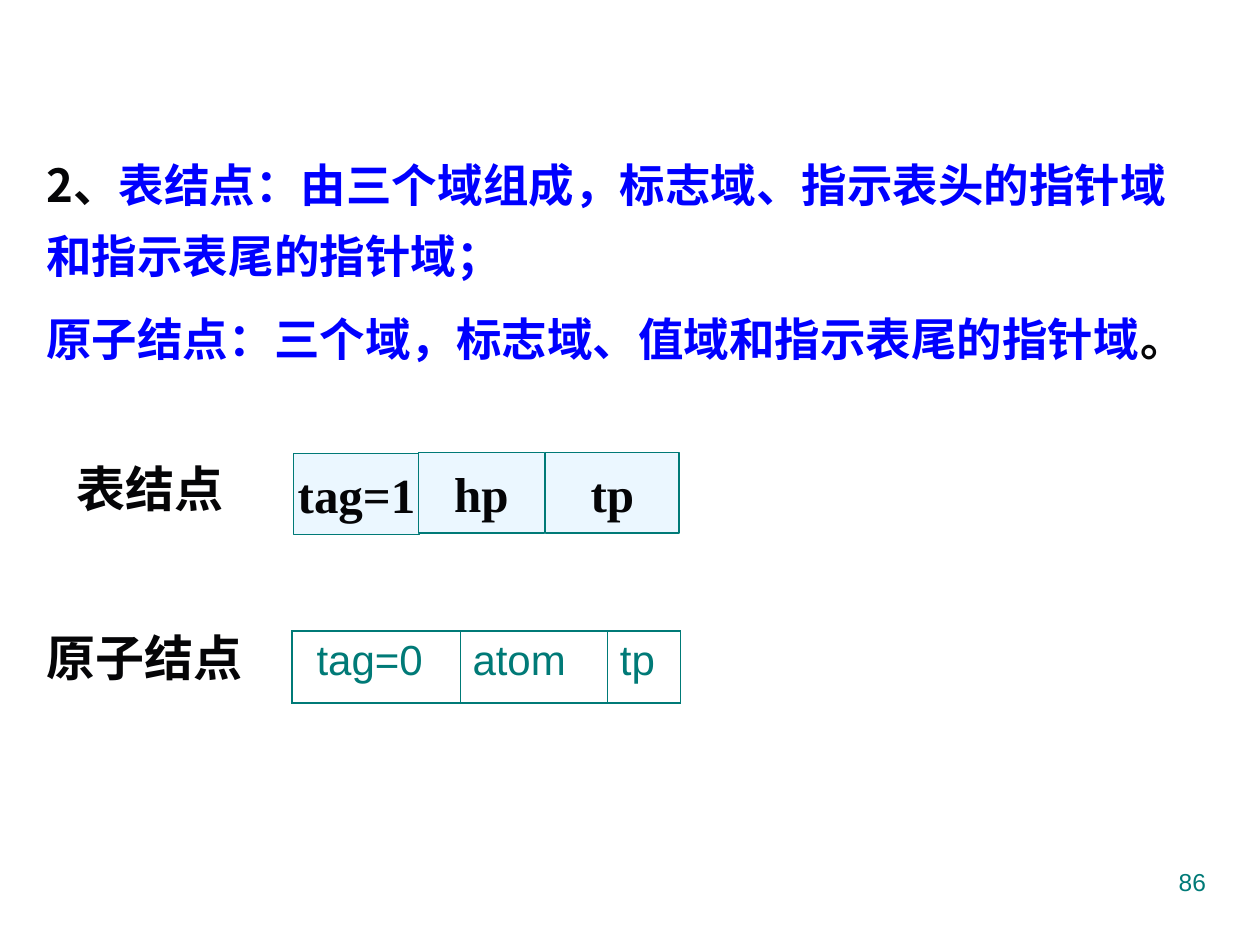
import pptx
import pptx.dml.color
import pptx.enum.shapes
import pptx.enum.text
import pptx.oxml
import pptx.oxml.ns
import pptx.util

PP = pptx.enum.text.PP_ALIGN
ANCHOR = pptx.enum.text.MSO_ANCHOR

# Grid of 100 columns by 75 rows
WIDTH, HEIGHT = pptx.util.Inches(10), pptx.util.Inches(7.5)
COLS, ROWS = 100, 75

BLACK, BLUE, TEAL, PALE = "050507", "0000FF", "007A77", "EBF7FF"
CJK, SERIF, SANS = "Noto Sans CJK SC", "Times New Roman", "Arial"


def color(value):
    return pptx.dml.color.RGBColor.from_string(value)


def grid(col, row, cols, rows):
    cw, rh = WIDTH / COLS, HEIGHT / ROWS
    return [round(v) for v in (col * cw, row * rh, cols * cw, rows * rh)]


def add_text(p, text, size=28, font=SERIF, fill=BLACK, bold=False, align=PP.LEFT):
    p.alignment = align
    r = p.add_run()
    r.text = text
    r.font.size = pptx.util.Pt(size)
    r.font.bold = bold
    r.font.color.rgb = color(fill)
    r.font.name = font
    ea = pptx.oxml.parse_xml(
        f'<a:ea {pptx.oxml.ns.nsdecls("a")} typeface="{CJK}"/>')
    r.font._element.append(ea)


def add_box(s, *place):
    tf = s.shapes.add_textbox(*grid(*place)).text_frame
    tf.word_wrap = True
    return tf


def add_field(s, text, *place):
    sp = s.shapes.add_shape(pptx.enum.shapes.MSO_SHAPE.RECTANGLE, *grid(*place))
    sp.shadow.inherit = False
    sp.fill.solid()
    sp.fill.fore_color.rgb = color(PALE)
    sp.line.color.rgb = color(TEAL)
    sp.line.width = pptx.util.Pt(0.75)
    tf = sp.text_frame
    tf.word_wrap = False
    tf.vertical_anchor = ANCHOR.MIDDLE
    add_text(tf.paragraphs[0], text, bold=True, align=PP.CENTER)


def set_borders(cell, widths):
    tc_pr = cell._tc.get_or_add_tcPr()
    for i, (side, width) in enumerate(zip("LRTB", widths)):
        tc_pr.insert(i, pptx.oxml.parse_xml(
            f'<a:ln{side} {pptx.oxml.ns.nsdecls("a")} w="{pptx.util.Pt(width)}">'
            f'<a:solidFill><a:srgbClr val="{TEAL}"/></a:solidFill></a:ln{side}>'))


def add_node_table(s, fields, col, row, rows):
    total = sum(width for _, width in fields)
    shape = s.shapes.add_table(1, len(fields), *grid(col, row, total, rows))
    table = shape.table
    table.first_row = table.horz_banding = False
    outer, inner = 1.08, 0.45
    for i, (text, width) in enumerate(fields):
        table.columns[i].width = round(width * WIDTH / COLS)
        cell = table.cell(0, i)
        cell.fill.background()
        left = outer if i == 0 else inner
        right = outer if i == len(fields) - 1 else inner
        set_borders(cell, (left, right, outer, outer))
        add_text(cell.text_frame.paragraphs[0], text, 24, SANS, TEAL)


def main():
    prs = pptx.Presentation()
    prs.slide_width, prs.slide_height = WIDTH, HEIGHT
    s = prs.slides.add_slide(prs.slide_layouts[6])

    # Definitions of the two node kinds
    tf = add_box(s, 2.7, 10.7, 94.1, 18.8)
    definitions = [
        [("2、", BLACK),
         ("表结点：由三个域组成，标志域、指示表头的指针域和指示表尾的指针域；", BLUE)],
        [("原子结点：三个域，标志域、值域和指示表尾的指针域", BLUE), ("。", BLACK)],
    ]
    for i, runs in enumerate(definitions):
        p = tf.add_paragraph() if i else tf.paragraphs[0]
        p.line_spacing = 1.3
        if i:
            p.space_before = pptx.util.Pt(6.5)
        for text, fill in runs:
            add_text(p, text, 26, CJK, fill, bold=True)

    # List node
    add_field(s, "tag=1", 23.3, 36, 10, 6.4)
    add_field(s, "hp", 33.2, 35.9, 10, 6.4)
    add_field(s, "tp", 43.3, 35.9, 10.6, 6.4)

    # Atom node
    add_node_table(s, [(" tag=0", 13.3), ("atom", 11.7), ("tp", 5.8)],
                   23.2, 50.1, 5.7)

    # Row labels
    for text, col, row, cols in (("原子结点", 2.7, 49.3, 18.1),
                                 ("表结点", 5.1, 35.9, 15)):
        tf = add_box(s, col, row, cols, 5.7)
        add_text(tf.paragraphs[0], text, bold=True)

    # Page number
    tf = add_box(s, 71.7, 68.3, 25, 5.2)
    add_text(tf.paragraphs[0], "86", 14, SANS, TEAL, align=PP.RIGHT)

    prs.save("out.pptx")


if __name__ == "__main__":
    main()
